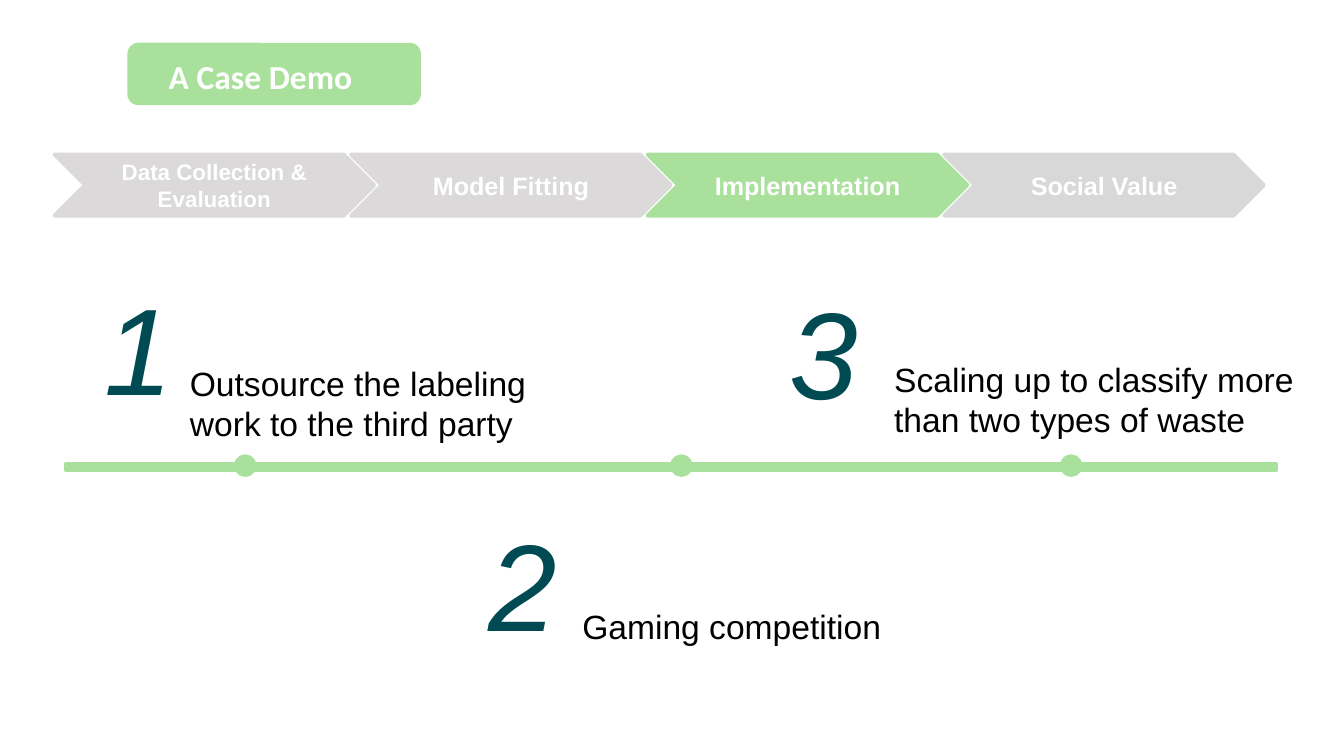
"""Build the case demo slide: a process banner above a three-step timeline."""
from pptx import Presentation
from pptx.dml.color import RGBColor
from pptx.enum.shapes import MSO_SHAPE
from pptx.enum.text import MSO_ANCHOR, MSO_AUTO_SIZE, PP_ALIGN
from pptx.util import Inches, Pt

LEFT, CENTER = PP_ALIGN.LEFT, PP_ALIGN.CENTER
TOP, MIDDLE = MSO_ANCHOR.TOP, MSO_ANCHOR.MIDDLE
NO_FIT = MSO_AUTO_SIZE.NONE
BADGE, CHEVRON = MSO_SHAPE.ROUNDED_RECTANGLE, MSO_SHAPE.CHEVRON
BAR, DOT = MSO_SHAPE.RECTANGLE, MSO_SHAPE.OVAL

COLORS = {"green": "A9E19C", "gray": "DBD9D9", "silver": "D8D8D8",
          "teal": "004B53", "white": "FFFFFF", "black": "000000"}
WIDTH = Inches(10)
HEIGHT = WIDTH * 9 // 16
CELL = WIDTH / 100

STAGES = [("Data Collection & Evaluation", 12, "gray"),
          ("Model Fitting", 13.5, "gray"),
          ("Implementation", 13.5, "green"),
          ("Social Value", 13.5, "silver")]
STEPS = [
    {"number": "1", "text": "Outsource the labeling work to the third party",
     "corner": (6.2, 19.8), "offset": (6.95, 6.7), "text_size": (29.7, 7.1),
     "dot": 18.25},
    {"number": "2", "text": "Gaming competition",
     "corner": (34.75, 37.35), "offset": (7.6, 7.25), "text_size": (29.7, 4),
     "dot": 50.7},
    {"number": "3", "text": "Scaling up to classify more than two types of waste",
     "corner": (57.15, 20.1), "offset": (8.4, 6.1), "text_size": (32.7, 7.1),
     "dot": 79.7},
]


def emu(box):
    """Turn grid columns and rows into slide lengths."""
    return [round(share * CELL) for share in box]


def write(shape, text, size, color, font="Arial", bold=False, italic=False,
          align=LEFT, anchor=TOP):
    """Put formatted text into a shape."""
    frame = shape.text_frame
    frame.word_wrap = True
    frame.auto_size = NO_FIT
    frame.vertical_anchor = anchor
    paragraph = frame.paragraphs[0]
    paragraph.alignment = align
    run = paragraph.add_run()
    run.text = text
    run.font.name, run.font.size = font, Pt(size)
    run.font.bold, run.font.italic = bold, italic
    run.font.color.rgb = RGBColor.from_string(COLORS[color])


def add_block(slide, kind, box, color, line_width=2):
    """Add a flat shape with fill and outline of one colour."""
    block = slide.shapes.add_shape(kind, *emu(box))
    block.shadow.inherit = False
    block.fill.solid()
    block.fill.fore_color.rgb = RGBColor.from_string(COLORS[color])
    block.line.color.rgb = RGBColor.from_string(COLORS[color])
    block.line.width = Pt(line_width)
    return block


def add_heading(slide, box):
    """Place the slide title on a rounded badge."""
    left, top, width, height = box
    badge = add_block(slide, BADGE, box, "green", line_width=1)
    title = slide.shapes.title
    title.left, title.top, title.width, title.height = emu(
        (left + 2, top + 0.4, width - 5.9, height - 0.5))
    write(title, "A Case Demo", 18, "white", font="Calibri", bold=True)
    badge.element.addnext(title.element)


def add_stages(slide, box):
    """Spread overlapping chevrons evenly over the banner."""
    left, top, width, height = box
    chevron_width = 23.8
    pitch = (width - chevron_width) / (len(STAGES) - 1)
    for index, (label, size, color) in enumerate(STAGES):
        chevron = add_block(
            slide, CHEVRON, (left + index * pitch, top, chevron_width, height), color)
        write(chevron, label, size, "white", bold=True, align=CENTER, anchor=MIDDLE)


def add_step(slide, box, step):
    """Place a large step number with its text beside it."""
    left, top, _, _ = box
    right, down = step["offset"]
    numeral = slide.shapes.add_textbox(*emu(box))
    write(numeral, step["number"], 66, "teal", italic=True, align=CENTER)
    caption = slide.shapes.add_textbox(
        *emu((left + right, top + down, *step["text_size"])))
    write(caption, step["text"], 18, "black")


def add_timeline(slide, box):
    """Draw the bar with one dot for each step and the steps around it."""
    top = box[1]
    diameter = 1.4
    add_block(slide, BAR, box, "green")
    for step in STEPS:
        dot_left = step["dot"] - diameter / 2
        add_block(slide, DOT, (dot_left, top - 0.55, diameter, diameter), "green")
        add_step(slide, (*step["corner"], 8.3, 12.1), step)


def main():
    """Build and save the presentation."""
    deck = Presentation()
    deck.slide_width, deck.slide_height = WIDTH, HEIGHT
    slide = deck.slides.add_slide(deck.slide_layouts[5])
    add_heading(slide, (9.55, 3.25, 21.7, 4.5))
    add_stages(slide, (4.05, 11.5, 90, 4.55))
    add_timeline(slide, (4.9, 34.5, 90.05, 0.5))
    deck.save("out.pptx")


if __name__ == "__main__":
    main()
